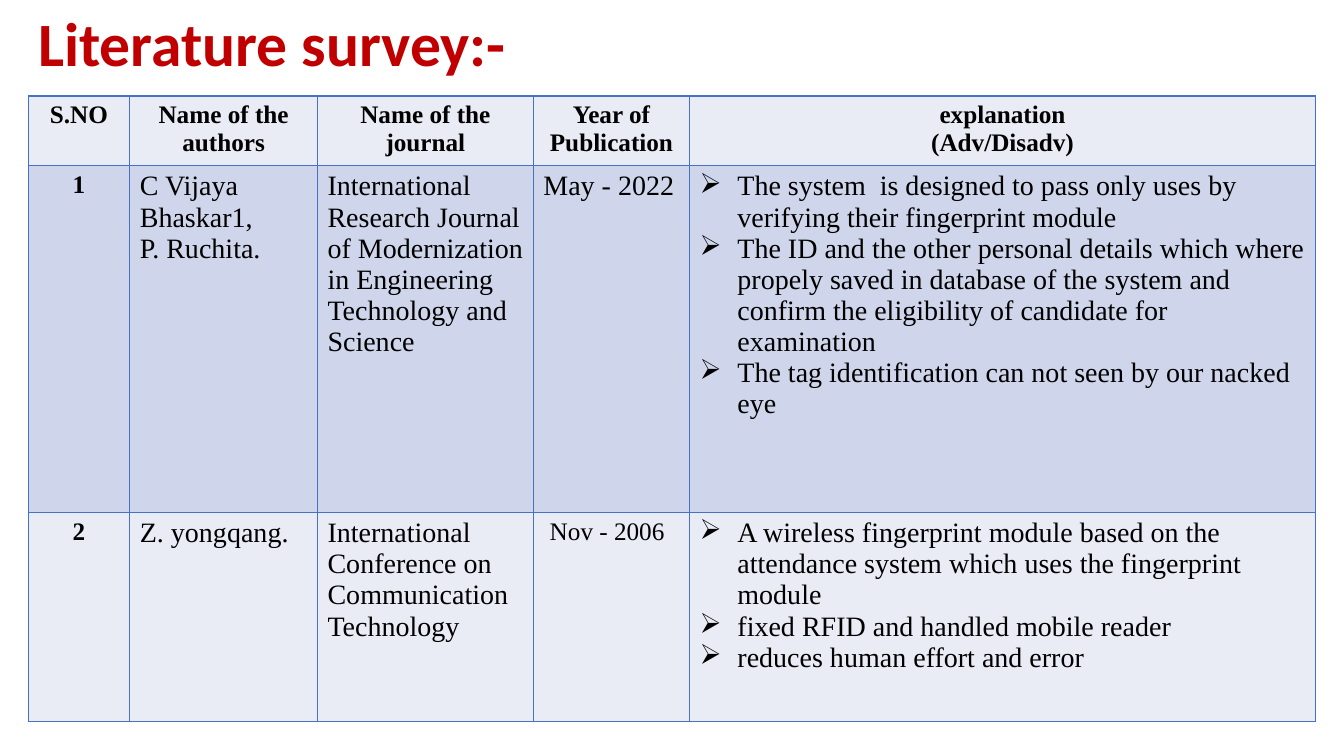
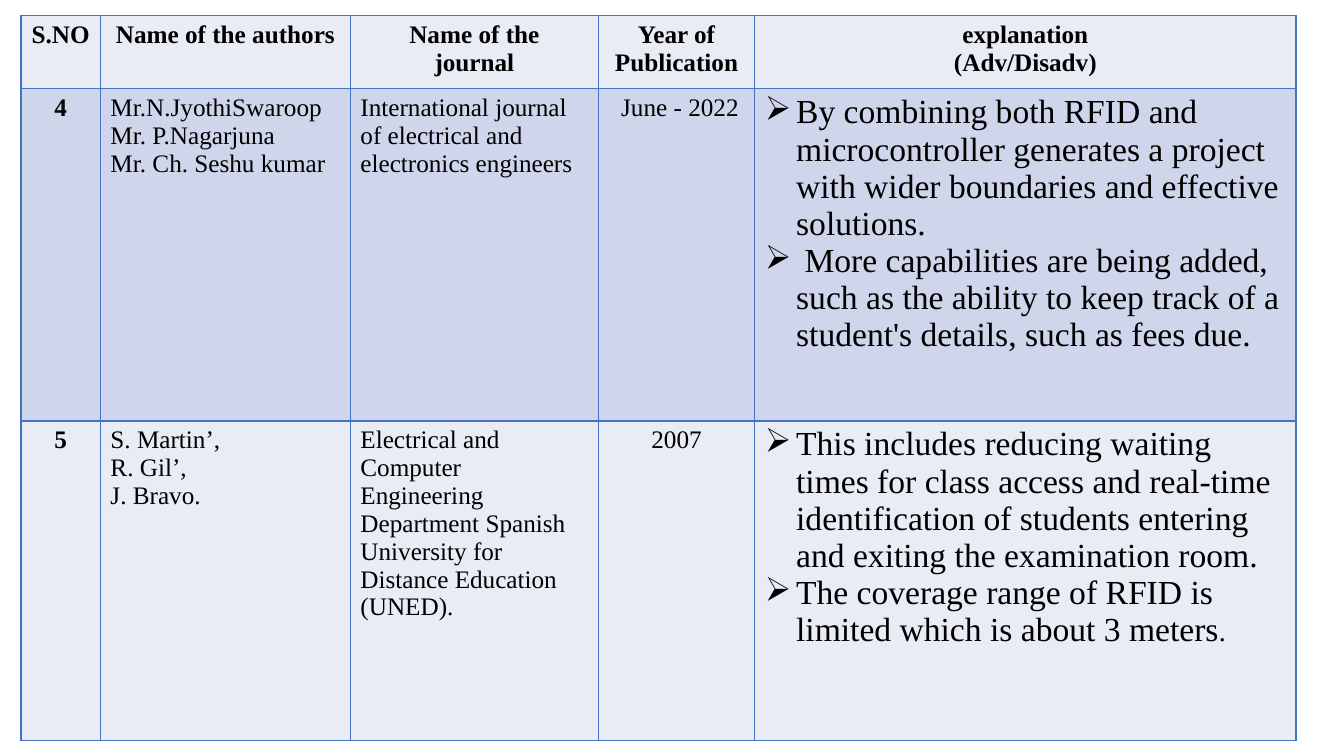
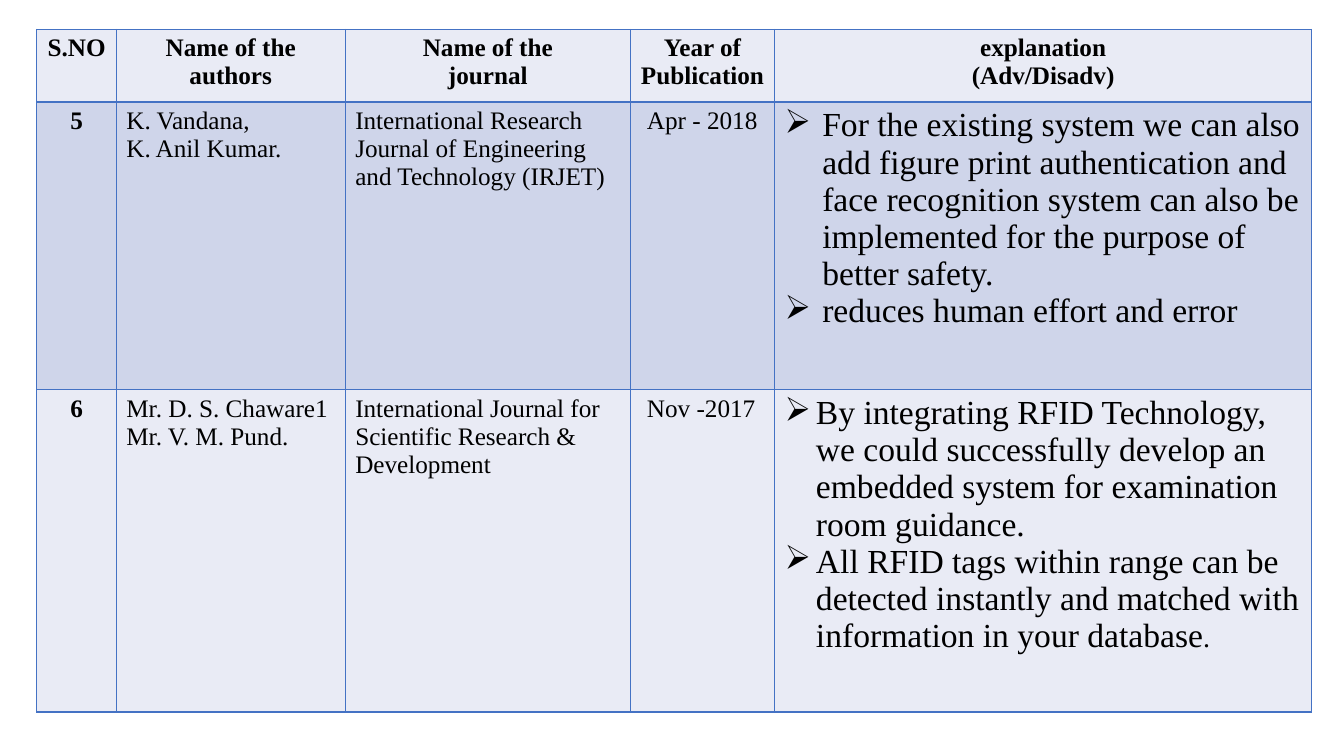
from dataclasses import dataclass

from lxml.etree import SubElement
from pptx import Presentation
from pptx.dml.color import RGBColor
from pptx.enum.text import MSO_ANCHOR, MSO_AUTO_SIZE, PP_ALIGN as Align
from pptx.oxml import parse_xml
from pptx.oxml.ns import nsdecls, qn
from pptx.util import Cm, Pt

# Shared look
TITLE_FONT, TABLE_FONT = "Calibri", "Times New Roman"
TITLE_RED, BLACK, BORDER = "C00000", "000000", "4472C4"
LIGHT_BAND, DARK_BAND = "E9EBF5", "CFD5EA"
BULLET = "➢"
WIDE_HANG, NARROW_HANG = 0.95, 0.79
TITLE_ONLY, BLANK = 5, 6


@dataclass(frozen=True)
class Line:
    """One paragraph of a cell; hang and indent are in centimetres."""
    text: str
    size: float = 18
    bold: bool = False
    align: Align = Align.LEFT
    indent: float = 0
    hang: float = 0
    small_end: str = ""


@dataclass(frozen=True)
class Paper:
    number: str
    authors: list[Line]
    journal: Line
    year: Line
    findings: list[Line]


@dataclass(frozen=True)
class Survey:
    """A table of papers; all lengths are in centimetres."""
    left: float
    top: float
    columns: list[float]
    rows: list[float]
    papers: list[Paper]
    title: str = ""


def rgb(colour: str) -> RGBColor:
    return RGBColor.from_string(colour)


def add_text(paragraph, text: str, *, size: float, font: str = TABLE_FONT,
             colour: str = BLACK, bold: bool = False) -> None:
    run = paragraph.add_run()
    run.text = text
    run.font.name = font
    run.font.size = Pt(size)
    run.font.bold = bold
    run.font.color.rgb = rgb(colour)


def lines(*texts: str, **style) -> list[Line]:
    return [Line(text, **style) for text in texts]


def heading(*texts: str) -> list[Line]:
    return lines(*texts, bold=True, align=Align.CENTER)


HEADINGS = [
    heading("S.NO"),
    heading("Name of the authors"),
    heading("Name of the", "journal"),
    heading("Year of Publication"),
    heading("explanation", "(Adv/Disadv)"),
]


def fill_cell(cell, content: list[Line], band: str) -> None:
    cell.fill.solid()
    cell.fill.fore_color.rgb = rgb(band)
    # Borders stand before the fill in the cell properties
    for position, side in enumerate(("lnL", "lnR", "lnT", "lnB")):
        cell._tc.tcPr.insert(position, parse_xml(
            f'<a:{side} {nsdecls("a")} w="{Pt(1)}"><a:solidFill>'
            f'<a:srgbClr val="{BORDER}"/></a:solidFill></a:{side}>'))

    frame = cell.text_frame
    for index, line in enumerate(content):
        paragraph = frame.add_paragraph() if index else frame.paragraphs[0]
        paragraph.alignment = line.align
        properties = paragraph._p.get_or_add_pPr()
        if line.hang:
            properties.set("marL", str(Cm(line.hang)))
            properties.set("indent", str(-Cm(line.hang)))
            SubElement(properties, qn("a:buChar")).set("char", BULLET)
        elif line.indent:
            properties.set("marL", str(Cm(line.indent)))
        add_text(paragraph, line.text, size=line.size, bold=line.bold)
        if line.small_end:
            add_text(paragraph, line.small_end, size=20)


def add_title(slide, text: str, left: float) -> None:
    title = slide.shapes.title
    title.left, title.top = Cm(left), Cm(0)
    title.width, title.height = Cm(14.63), Cm(2.13)
    frame = title.text_frame
    frame.auto_size = MSO_AUTO_SIZE.NONE
    frame.vertical_anchor = MSO_ANCHOR.TOP
    frame.paragraphs[0].alignment = Align.LEFT
    add_text(frame.paragraphs[0], text, size=44, font=TITLE_FONT,
             colour=TITLE_RED, bold=True)


def add_survey(deck, survey: Survey) -> None:
    layout = deck.slide_layouts[TITLE_ONLY if survey.title else BLANK]
    slide = deck.slides.add_slide(layout)
    if survey.title:
        add_title(slide, survey.title, survey.left)

    table = slide.shapes.add_table(
        len(survey.rows), len(survey.columns), Cm(survey.left), Cm(survey.top),
        Cm(sum(survey.columns)), Cm(sum(survey.rows))).table
    table.first_row = table.horz_banding = False
    for column, width in zip(table.columns, survey.columns):
        column.width = Cm(width)
    for row, height in zip(table.rows, survey.rows):
        row.height = Cm(height)

    entries = [HEADINGS] + [
        [heading(paper.number), paper.authors, [paper.journal], [paper.year],
         paper.findings] for paper in survey.papers]
    for number, entry in enumerate(entries):
        band = DARK_BAND if number % 2 else LIGHT_BAND
        for cell, content in zip(table.rows[number].cells, entry):
            fill_cell(cell, content, band)


SURVEYS = [
    Survey(
        title="Literature survey:-", left=0.71, top=2.42,
        columns=[2.56, 4.73, 5.44, 3.94, 15.77], rows=[1.76, 8.74, 5.26],
        papers=[
            Paper("1", lines("C Vijaya", "Bhaskar1,", "P. Ruchita.", size=20),
                  Line("International Research Journal of Modernization in "
                       "Engineering Technology and Science", size=20),
                  Line("May - 2022", size=20),
                  lines("The system  is designed to pass only uses by "
                        "verifying their fingerprint module",
                        "The ID and the other personal details which where "
                        "propely saved in database of the system and confirm "
                        "the eligibility of candidate for examination",
                        "The tag identification can not seen by our nacked eye",
                        size=20, hang=WIDE_HANG)),
            Paper("2", lines("Z. yongqang.", size=20),
                  Line("International Conference on Communication Technology",
                       size=20),
                  Line("Nov - 2006", indent=0.16),
                  lines("A wireless fingerprint module based on the attendance "
                        "system which uses the fingerprint module",
                        "fixed RFID and handled mobile reader",
                        "reduces human effort and error",
                        size=20, hang=WIDE_HANG)),
        ]),
    Survey(
        left=0.53, top=0.4,
        columns=[2, 6.3, 6.25, 3.94, 13.64], rows=[1.84, 8.37, 8.06],
        papers=[
            Paper("4", lines("Mr.N.JyothiSwaroop Mr. P.Nagarjuna",
                             "Mr. Ch. Seshu kumar"),
                  Line("International journal of electrical and electronics "
                       "engineers"),
                  Line("June - 2022", indent=0.32),
                  lines("By combining both RFID and microcontroller generates "
                        "a project with wider boundaries and effective "
                        "solutions.",
                        " More capabilities are being added, such as the "
                        "ability to keep track of a student's details, such "
                        "as fees due.",
                        size=24, hang=NARROW_HANG)),
            Paper("5", lines("S. Martin’,", "R. Gil’,", "J. Bravo."),
                  Line("Electrical and Computer Engineering Department Spanish "
                       "University for Distance Education (UNED)."),
                  Line("2007", align=Align.CENTER),
                  [Line("This includes reducing waiting times for class access "
                        "and real-time identification of students entering "
                        "and exiting the examination room.",
                        size=24, hang=NARROW_HANG),
                   Line("The coverage range of RFID is limited which is about "
                        "3 meters",
                        size=24, hang=NARROW_HANG, small_end=".")]),
        ]),
    Survey(
        left=0.93, top=0.74,
        columns=[2, 5.77, 7.19, 3.63, 13.54], rows=[1.83, 7.25, 8.12],
        papers=[
            Paper("5", lines("K. Vandana,", "K. Anil Kumar."),
                  Line("International Research Journal of Engineering and "
                       "Technology (IRJET)"),
                  Line("Apr - 2018", indent=0.16),
                  lines("For the existing system we can also add figure print "
                        "authentication and face recognition system can also "
                        "be implemented for the purpose of better safety.",
                        "reduces human effort and error",
                        size=24, hang=WIDE_HANG)),
            Paper("6", lines("Mr. D. S. Chaware1", "Mr. V. M. Pund."),
                  Line("International Journal for Scientific Research & "
                       "Development"),
                  Line("Nov -2017", indent=0.16),
                  [Line("By integrating RFID Technology, we could successfully "
                        "develop an embedded system for examination room "
                        "guidance.", size=24, hang=NARROW_HANG),
                   Line("All RFID tags within range can be detected instantly "
                        "and matched with information in your database",
                        size=24, hang=NARROW_HANG, small_end=".")]),
        ]),
]


def main() -> None:
    deck = Presentation()
    deck.slide_width, deck.slide_height = Cm(33.87), Cm(19.05)
    for survey in SURVEYS:
        add_survey(deck, survey)
    deck.save("out.pptx")


if __name__ == "__main__":
    main()
